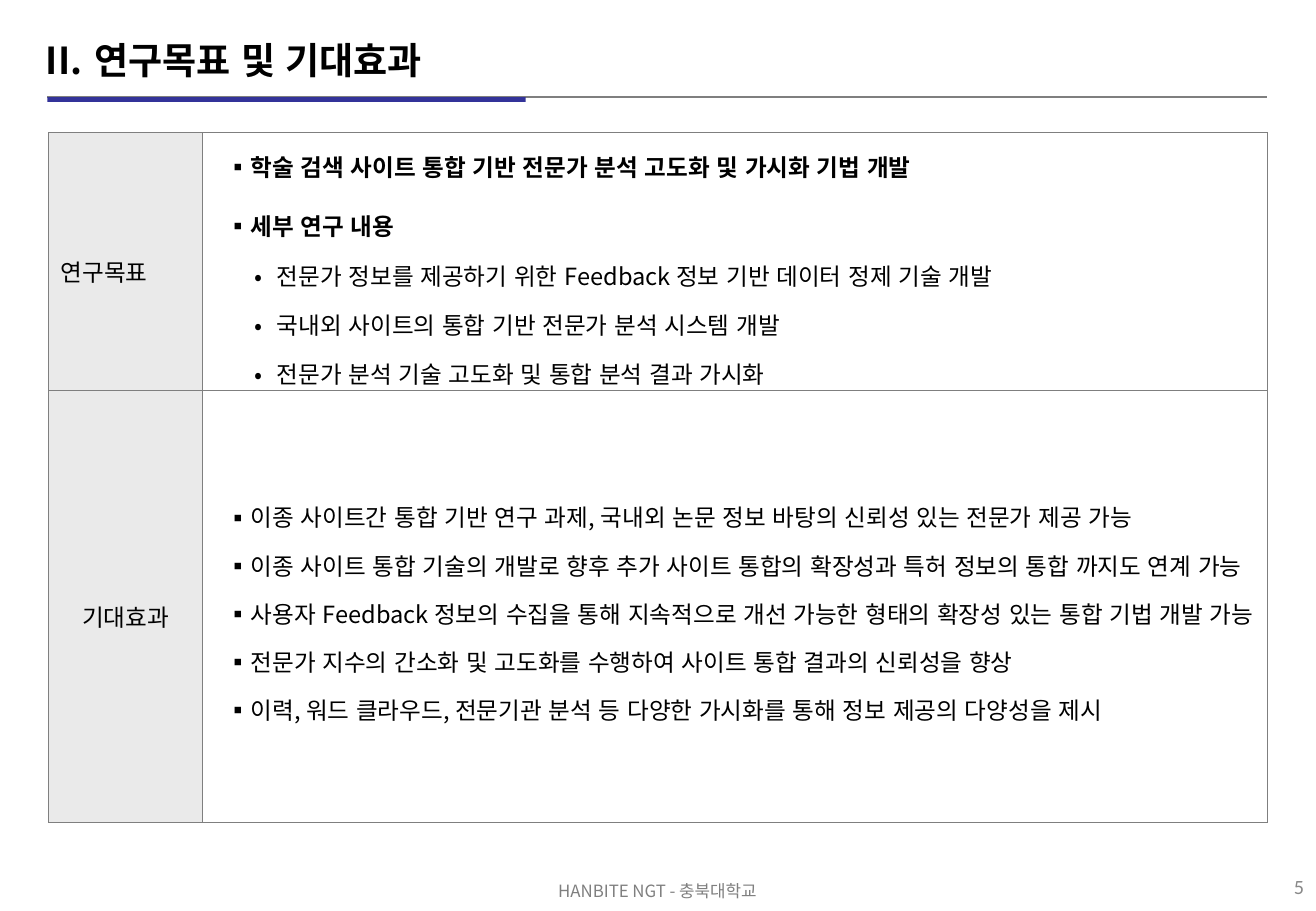
from lxml import etree
from pptx import Presentation
from pptx.dml.color import RGBColor
from pptx.enum.lang import MSO_LANGUAGE_ID as Language
from pptx.enum.shapes import MSO_CONNECTOR as Connector, MSO_SHAPE as Shape
from pptx.enum.text import MSO_ANCHOR as Anchor, PP_ALIGN as Align
from pptx.oxml.ns import qn
from pptx.util import Inches, Pt

COLORS = {
    "ink": "000000",
    "rule": "7F7F7F",
    "number": "898989",
    "accent": "333399",
    "label": "EAEAEA",
    "paper": "FFFFFF",
}
KOREAN = "Noto Sans CJK KR"

GOALS = [
    ("학술 검색 사이트 통합 기반 전문가 분석 고도화 및 가시화 기법 개발", True),
    ("세부 연구 내용", True),
    ("전문가 정보를 제공하기 위한 Feedback 정보 기반 데이터 정제 기술 개발", False),
    ("국내외 사이트의 통합 기반 전문가 분석 시스템 개발", False),
    ("전문가 분석 기술 고도화 및 통합 분석 결과 가시화", False),
]
EFFECTS = [
    "이종 사이트간 통합 기반 연구 과제, 국내외 논문 정보 바탕의 신뢰성 있는 전문가 제공 가능",
    "이종 사이트 통합 기술의 개발로 향후 추가 사이트 통합의 확장성과 특허 정보의 통합 까지도 연계 가능",
    "사용자 Feedback 정보의 수집을 통해 지속적으로 개선 가능한 형태의 확장성 있는 통합 기법 개발 가능",
    "전문가 지수의 간소화 및 고도화를 수행하여 사이트 통합 결과의 신뢰성을 향상",
    "이력, 워드 클라우드, 전문기관 분석 등 다양한 가시화를 통해 정보 제공의 다양성을 제시",
]


def rgb(name):
    return RGBColor.from_string(COLORS[name])


class SlideBuilder:
    def __init__(self, slide):
        self.slide = slide

    def paragraph(self, frame, text, size=14, color="ink", font=KOREAN, bold=False,
                  align=Align.LEFT, spacing=1.0, before=0, bullet=None, indent=(0, 0), level=0):
        first = not frame.paragraphs[0].runs
        para = frame.paragraphs[0] if first else frame.add_paragraph()
        para.text = text
        para.alignment = align
        para.level = level
        para.line_spacing = spacing
        para.space_before = Pt(0 if first else before)
        props = para._p.get_or_add_pPr()
        props.set("marL", str(Inches(indent[0])))
        props.set("indent", str(Inches(indent[1])))
        if bullet == "roman":
            etree.SubElement(props, qn("a:buAutoNum"), type="romanUcPeriod", startAt="2")
        elif bullet:
            etree.SubElement(props, qn("a:buFont"), typeface=KOREAN)
            etree.SubElement(props, qn("a:buChar"), char=bullet)
        else:
            etree.SubElement(props, qn("a:buNone"))
        para.font.name = font
        para.font.size = Pt(size)
        para.font.bold = bold
        para.font.color.rgb = rgb(color)
        defaults = props.find(qn("a:defRPr"))
        defaults.set("kern", "0")
        east_asian = etree.Element(qn("a:ea"), typeface=font)
        defaults.find(qn("a:latin")).addnext(east_asian)
        for run in para.runs:
            run.font.language_id = Language.KOREAN

    def text(self, box, text, anchor=Anchor.MIDDLE, **style):
        frame = self.slide.shapes.add_textbox(*map(Inches, box)).text_frame
        frame.word_wrap = True
        frame.vertical_anchor = anchor
        self.paragraph(frame, text, **style)

    def line(self, start, end, color, width):
        rule = self.slide.shapes.add_connector(Connector.STRAIGHT, *map(Inches, start + end))
        rule.line.color.rgb = rgb(color)
        rule.line.width = Pt(width)
        etree.SubElement(rule._element.spPr, qn("a:effectLst"))

    def bar(self, box, color):
        accent = self.slide.shapes.add_shape(Shape.RECTANGLE, *map(Inches, box))
        accent.shadow.inherit = False
        accent.fill.solid()
        accent.fill.fore_color.rgb = rgb(color)
        accent.line.fill.background()

    def table(self, box, widths, heights):
        grid = self.slide.shapes.add_table(
            len(heights), len(widths), *map(Inches, box)).table
        grid.first_row = False
        grid.horz_banding = False
        for column, width in zip(grid.columns, widths):
            column.width = Inches(width)
        for row, height in zip(grid.rows, heights):
            row.height = Inches(height)
            for index, cell in enumerate(row.cells):
                self.cell(cell, "paper" if index else "label")
        return grid

    def cell(self, cell, fill):
        cell.vertical_anchor = Anchor.MIDDLE
        props = cell._tc.get_or_add_tcPr()
        for side in ("lnL", "lnR", "lnT", "lnB"):
            border = etree.SubElement(props, qn("a:" + side), w=str(Pt(0.34)))
            paint = etree.SubElement(border, qn("a:solidFill"))
            etree.SubElement(paint, qn("a:srgbClr"), val=COLORS["rule"])
        cell.fill.solid()
        cell.fill.fore_color.rgb = rgb(fill)


def main():
    deck = Presentation()
    deck.slide_width, deck.slide_height = Inches(10.84), Inches(7.5)
    page = SlideBuilder(deck.slides.add_slide(deck.slide_layouts[6]))

    page.text((0, 7.2, 10.83, 0.27), "HANBITE NGT - 충북대학교", anchor=Anchor.TOP,
              size=10, color="rule", align=Align.CENTER)
    page.line((0.39, 0.8), (10.44, 0.8), "rule", 1)
    page.text((8.4, 7.1, 2.44, 0.4), "5", size=12, color="number",
              font="Calibri", align=Align.RIGHT)
    page.bar((0.39, 0.8, 3.94, 0.04), "accent")
    page.text((0.28, 0.2, 10.61, 0.58), "연구목표 및 기대효과", size=22, bold=True,
              bullet="roman", indent=(0.4, -0.4))

    summary = page.table((0.4, 1.09, 10.04, 5.68), (1.27, 8.77), (2.12, 3.56))
    labels = [("연구목표", Align.LEFT), ("기대효과", Align.CENTER)]
    for row, (label, align) in enumerate(labels):
        page.paragraph(summary.cell(row, 0).text_frame, label, align=align, spacing=1.6)

    goals = summary.cell(0, 1).text_frame
    for goal, heading in GOALS:
        if heading:
            page.paragraph(goals, goal, bold=True, spacing=1.3, before=8.8,
                           bullet="▪", indent=(0.29, -0.19))
        else:
            page.paragraph(goals, goal, before=8.8, bullet="•",
                           indent=(0.51, -0.18), level=1)

    effects = summary.cell(1, 1).text_frame
    for effect in EFFECTS:
        page.paragraph(effects, effect, spacing=1.4, bullet="▪", indent=(0.29, -0.19))

    deck.save("out.pptx")


if __name__ == "__main__":
    main()
